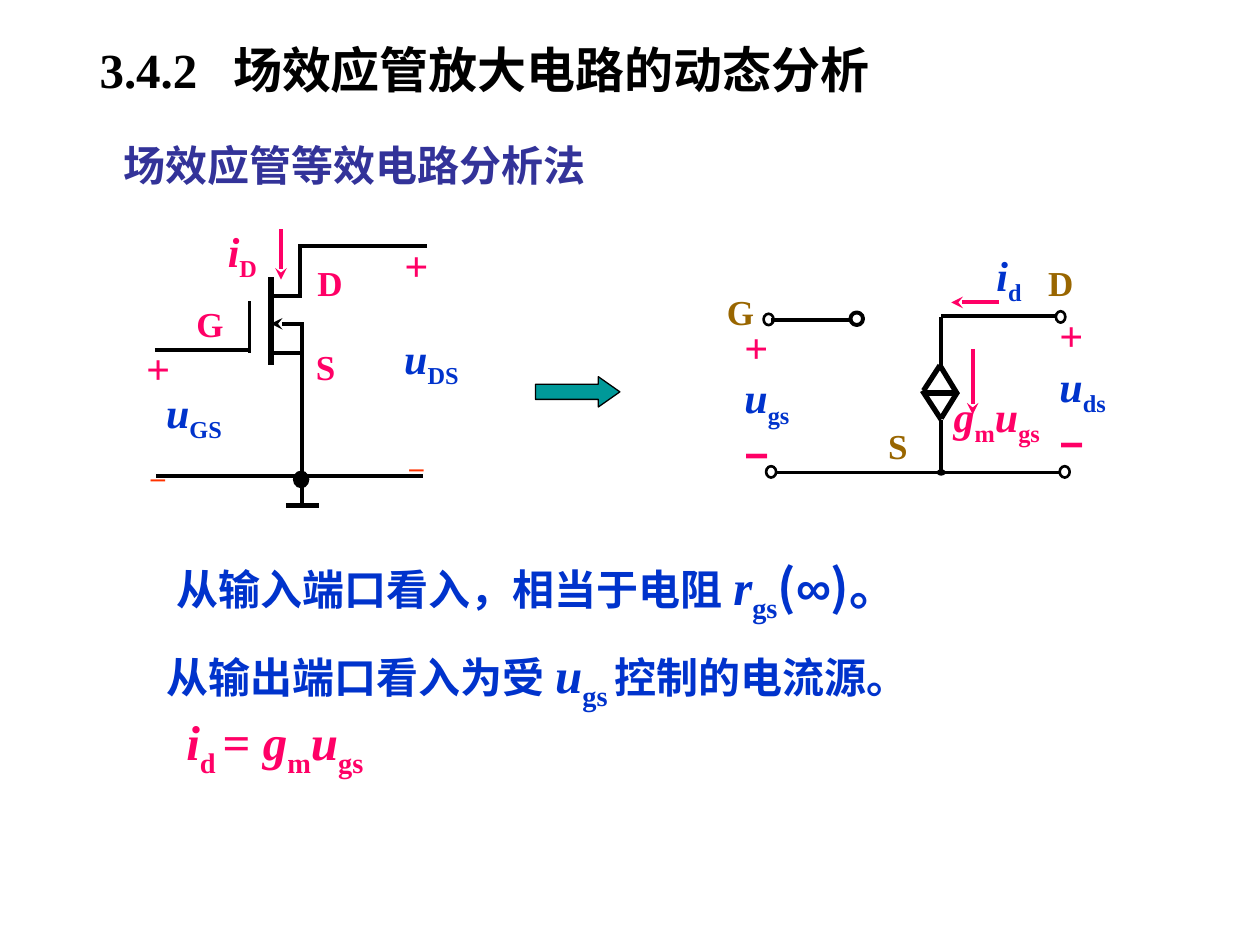
from lxml.etree import SubElement
from pptx import Presentation
from pptx.dml.color import RGBColor
from pptx.enum.shapes import MSO_CONNECTOR, MSO_SHAPE
from pptx.enum.text import MSO_ANCHOR, MSO_AUTO_SIZE, PP_ALIGN
from pptx.oxml.ns import qn
from pptx.util import Inches, Pt

THEME = {
    "black": "000000", "white": "FFFFFF", "blue": "0033CC", "indigo": "333399",
    "pink": "FF0066", "red": "FF3300", "brown": "996600", "teal": "009999",
    "serif": "Times New Roman", "sans": "Arial", "chinese": "Noto Sans CJK SC",
    "large": 28, "medium": 24, "small": 20,
}

presentation = Presentation()
presentation.slide_width, presentation.slide_height = Inches(10), Inches(7.5)
slide = presentation.slides.add_slide(presentation.slide_layouts[5])

# Grid of 100 columns by 75 rows; all places below are in its cells
COLUMN = presentation.slide_width / 100
ROW = presentation.slide_height / 75


def write(frame, paragraphs, size, line_spacing=None):
    """Each run is (text, colour, style, size, font); style i = italic, s = subscript."""
    frame.word_wrap = True
    frame.auto_size = MSO_AUTO_SIZE.NONE
    frame.vertical_anchor = MSO_ANCHOR.TOP
    for index, runs in enumerate(paragraphs):
        paragraph = frame.add_paragraph() if index else frame.paragraphs[0]
        paragraph.alignment = PP_ALIGN.LEFT
        if line_spacing:
            paragraph.line_spacing = line_spacing
        for text, colour, style, *special in runs:
            run_size, font_name = (special + [None, None])[:2]
            run = paragraph.add_run()
            run.text = text
            run.font.size = Pt(THEME[run_size or size])
            run.font.name = THEME[font_name or "serif"]
            run.font.bold = True
            run.font.italic = "i" in style
            run.font.color.rgb = RGBColor.from_string(THEME[colour])
            properties = run.font._element
            if "s" in style:
                properties.set("baseline", "-25000")
            if any("\u3000" <= letter <= "\uffee" for letter in text):
                SubElement(properties, qn("a:ea"), typeface=THEME["chinese"])


def draw_line(shapes, start_x, start_y, end_x, end_y, weight, colour="black", arrow=False):
    line = shapes.add_connector(
        MSO_CONNECTOR.STRAIGHT, int(start_x * COLUMN), int(start_y * ROW),
        int(end_x * COLUMN), int(end_y * ROW))
    line.line.width = Pt(weight)
    line.line.color.rgb = RGBColor.from_string(THEME[colour])
    if arrow:
        SubElement(line.line._get_or_add_ln(), qn("a:tailEnd"), type="stealth")
    SubElement(line._element.spPr, qn("a:effectLst"))


# Title, with a tab stop between the number and the words
title = slide.shapes.title
title.left, title.top = int(6.9 * COLUMN), int(2.6 * ROW)
title.width, title.height = int(67.9 * COLUMN), int(5.7 * ROW)
tab_list = SubElement(title.text_frame.paragraphs[0]._p.get_or_add_pPr(), qn("a:tabLst"))
SubElement(tab_list, qn("a:tab"), pos=str(int(10.6 * COLUMN)), algn="l")
write(title.text_frame, [[("3.4.2\t场效应管放大电路的动态分析", "black", "")]], "large")

transistor = slide.shapes.add_group_shape().shapes
equivalent = slide.shapes.add_group_shape().shapes

# Transistor circuit: wires, then the arrows of the channel and the drain current
for wire in [
    (19.8, 23.9, 19.8, 28, 2.25), (12.3, 27.8, 19.8, 27.8, 2.25),    # gate
    (21.5, 22, 21.5, 29, 3), (22.7, 40.1, 25.3, 40.1, 3),            # channel, ground
    (21.6, 23.5, 24, 23.5, 2.25), (21.7, 28, 24.1, 28, 2.25),        # drain, source
    (23.8, 23.6, 23.8, 19.4, 2.25), (33.9, 19.5, 23.8, 19.5, 2.25),  # output
    (24, 25.6, 24, 40.1, 2.25), (12.4, 37.8, 33.6, 37.8, 2.25),      # common rail
    (24.1, 25.7, 21.5, 25.7, 2.25, "black", True),
    (22.3, 18.2, 22.3, 22.2, 2.25, "pink", True),
]:
    draw_line(transistor, *wire)

# Equivalent circuit: wires, controlled source, current arrows
for wire in [
    (74.7, 33.3, 74.7, 37.6, 2), (74.7, 29.1, 74.7, 25.2, 2),        # source branch
    (74.7, 25.1, 83.9, 25.1, 2), (61.2, 25.4, 68.1, 25.4, 2),        # drain, gate
    (61.5, 37.5, 84.1, 37.5, 2),                                     # common rail
    (74.6, 29, 73.3, 31, 3), (74.6, 29, 76, 31.3, 3),                # diamond
    (73.2, 31, 74.7, 33.3, 3), (76, 31.1, 74.7, 33.2, 3),
    (73.3, 31.2, 76, 31.2, 3),
    (79.3, 24, 75.5, 24, 2.25, "pink", True),
    (77.2, 27.7, 77.2, 32.9, 2.25, "pink", True),
]:
    draw_line(equivalent, *wire)

# Junction dots and terminals
for shapes, left, top, width, height, fill, weight in [
    (transistor, 23.3, 37.4, 1.2, 1.3, "black", 0.75),
    (equivalent, 74.4, 37.3, 0.6, 0.4, "black", 0.75),
    (equivalent, 84.1, 37, 0.8, 0.9, None, 1.5),
    (equivalent, 83.8, 24.7, 0.75, 0.9, None, 1.5),
    (equivalent, 60.6, 24.9, 0.8, 0.9, None, 1.5),
    (equivalent, 60.8, 37, 0.8, 0.9, None, 1.5),
    (equivalent, 67.5, 24.8, 1, 1, "white", 2.25),
]:
    dot = shapes.add_shape(MSO_SHAPE.OVAL, int(left * COLUMN), int(top * ROW),
                           int(width * COLUMN), int(height * ROW))
    dot.shadow.inherit = False
    if fill:
        dot.fill.solid()
        dot.fill.fore_color.rgb = RGBColor.from_string(THEME[fill])
    else:
        dot.fill.background()
    dot.line.color.rgb = RGBColor.from_string(THEME["black"])
    dot.line.width = Pt(weight)

# Arrow from the transistor to its equivalent
arrow = slide.shapes.add_shape(MSO_SHAPE.RIGHT_ARROW, int(42.5 * COLUMN), int(29.9 * ROW),
                               int(6.7 * COLUMN), int(2.4 * ROW))
arrow.adjustments[0], arrow.adjustments[1] = 0.5, 0.71
arrow.shadow.inherit = False
arrow.fill.solid()
arrow.fill.fore_color.rgb = RGBColor.from_string(THEME["teal"])
arrow.line.color.rgb = RGBColor.from_string(THEME["black"])
arrow.line.width = Pt(0.75)

# Text: single-line labels and statements, then the two port columns
texts = [
    (slide.shapes, 8.8, 10.6, 40.1, 5, "medium", None,
     [[("场效应管等效电路分析法", "indigo", "", None, "sans")]]),
    (slide.shapes, 13, 43.7, 62.6, 6.3, "large", None,
     [[("从输入端口看入，相当于电阻", "blue", "", "medium"), (" ", "blue", ""),
       ("r", "blue", "i"), ("gs", "blue", "s"), ("(", "blue", "", None, "chinese"),
       ("∞", "blue", "", None, "sans"), (")。", "blue", "", None, "chinese")]]),
    (slide.shapes, 12.2, 50.7, 64, 6.3, "large", None,
     [[("从输出端口看入为受", "blue", "", "medium"), (" ", "blue", ""),
       ("u", "blue", "i"), ("gs ", "blue", "s"),
       ("控制的电流源。", "blue", "", "medium")]]),
    (slide.shapes, 13.8, 56, 22.5, 6.3, "large", None,
     [[("i", "pink", "i"), ("d ", "pink", "s"), ("= ", "pink", ""), ("g", "pink", "i"),
       ("m", "pink", "s"), ("u", "pink", "i"), ("gs", "pink", "s")]]),
    (equivalent, 74.7, 30.5, 16.5, 5.6, "medium", None,
     [[("g", "pink", "i"), ("m", "pink", "s"), ("u", "pink", "i"), ("gs", "pink", "s")]]),
]
for shapes, left, top, letter, colour in [
    (transistor, 14.6, 23.5, "G", "pink"), (transistor, 24.2, 20.3, "D", "pink"),
    (transistor, 24.1, 26.9, "S", "pink"), (equivalent, 56.7, 22.6, "G", "brown"),
    (equivalent, 82.2, 20.3, "D", "brown"), (equivalent, 69.5, 33.2, "S", "brown"),
]:
    texts.append((shapes, left, top, 5, 4.4, "small", None, [[(letter, colour, "")]]))
for shapes, left, top, width, symbol, index, colour, spacing in [
    (transistor, 17.1, 17.4, 6, "i", "D", "pink", None),
    (equivalent, 78.1, 19.3, 6, "i", "d", "blue", None),
    (transistor, 31.1, 26.3, 10.6, "u", "DS", "blue", 0.8),
    (transistor, 12.2, 30.6, 10.6, "u", "GS", "blue", 0.8),
]:
    texts.append((shapes, left, top, width, 5.6, "medium", spacing,
                  [[(symbol, colour, "i"), (index, colour, "s")]]))
for left, top in [(31.1, 19.3), (10.6, 27.5)]:
    texts.append((transistor, left, top, 4.3, 4.2, "medium", 0.8, [[("+", "pink", "i")]]))
for left, top in [(31.5, 33), (11, 33.8)]:
    texts.append((transistor, left, top, 4.7, 5.3, "large", 0.8, [[("–", "red", "s")]]))
for left, top, width, index in [(58.1, 25, 10.7, "gs"), (83.1, 24.1, 7, "ds")]:
    texts.append((equivalent, left, top, width, 13.6, "medium", None,
                  [[("+", "pink", "")], [("u", "blue", "i"), (index, "blue", "s")],
                   [("−", "pink", "", None, "sans")]]))

for shapes, left, top, width, height, size, spacing, paragraphs in texts:
    box = shapes.add_textbox(int(left * COLUMN), int(top * ROW),
                             int(width * COLUMN), int(height * ROW))
    write(box.text_frame, paragraphs, size, spacing)

presentation.save("out.pptx")
